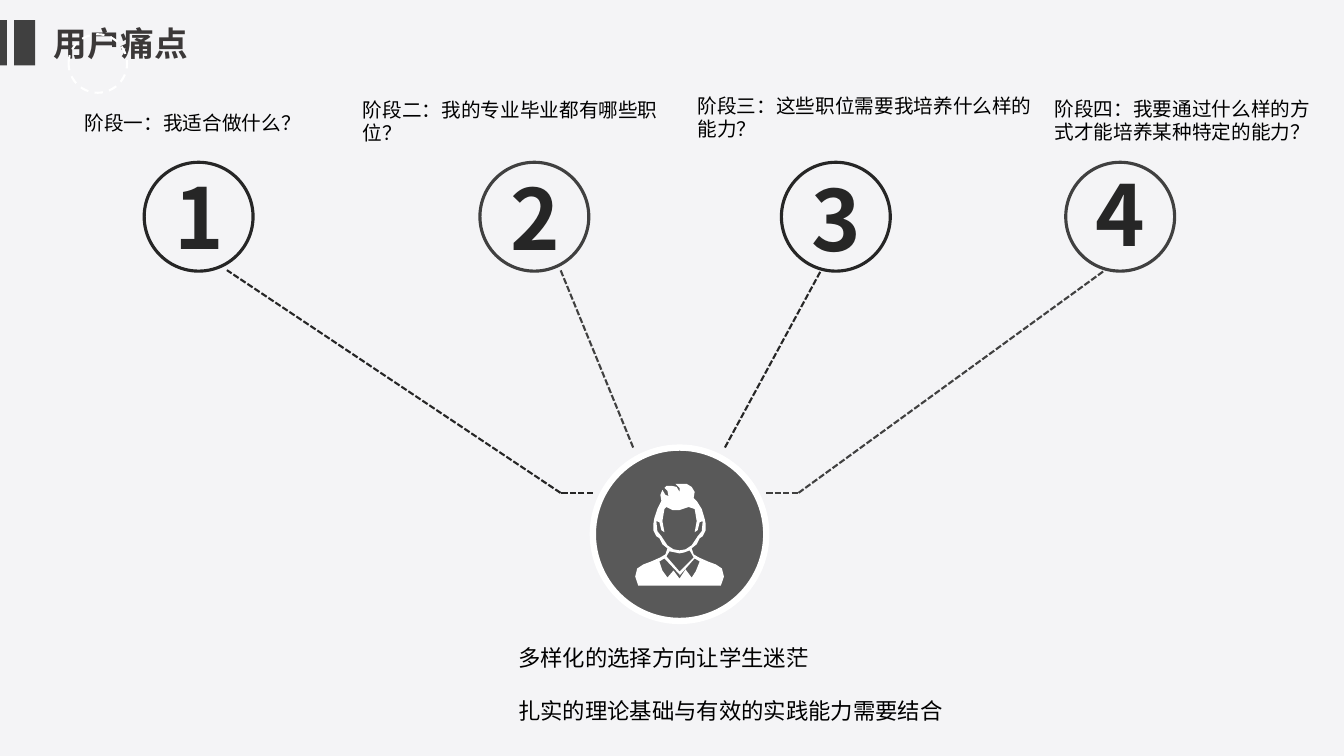
from pptx import Presentation
from pptx.dml.color import RGBColor
from pptx.enum.dml import MSO_LINE
from pptx.enum.shapes import MSO_CONNECTOR, MSO_SHAPE
from pptx.enum.text import MSO_ANCHOR, MSO_AUTO_SIZE, PP_ALIGN
from pptx.oxml.ns import qn
from pptx.util import Inches, Pt

RECT, OVAL = MSO_SHAPE.RECTANGLE, MSO_SHAPE.OVAL
STRAIGHT = MSO_CONNECTOR.STRAIGHT
DOTTED, DASHED = MSO_LINE.SQUARE_DOT, MSO_LINE.DASH
LEFT, CENTER = PP_ALIGN.LEFT, PP_ALIGN.CENTER
TOP = MSO_ANCHOR.TOP
NO_AUTOFIT = MSO_AUTO_SIZE.NONE

FONT = "Noto Sans CJK SC"
BLACK, INK, GRAY, WHITE = "000000", "262626", "404040", "FFFFFF"
CIRCLE_TOP, CIRCLE_SIZE = 1.61, 1.08

# number, circle left, colour, number top, caption, caption box
STAGES = [
    ("1", 1.43, INK, 1.59, "阶段一：我适合做什么？", (0.84, 1.1, 3.32, 0.24)),
    ("2", 4.76, GRAY, 1.6, "阶段二：我的专业毕业都有哪些职位？", (3.6, 0.97, 3.09, 0.47)),
    ("3", 7.75, INK, 1.61, "阶段三：这些职位需要我培养什么样的能力？", (6.92, 0.93, 3.32, 0.47)),
    ("4", 10.57, GRAY, 1.56, "阶段四：我要通过什么样的方式才能培养某种特定的能力？",
     (10.46, 0.96, 2.62, 0.47)),
]
# Dotted routes between the user and each stage
ROUTES = [
    (INK, [(5.88, 4.89), (5.56, 4.89), (2.25, 2.68)]),
    (GRAY, [(6.28, 4.44), (5.56, 2.68)]),
    (INK, [(7.19, 4.44), (8.15, 2.67)]),
    (GRAY, [(7.6, 4.89), (7.92, 4.89), (10.96, 2.68)]),
]
CONCLUSIONS = ["多样化的选择方向让学生迷茫", "扎实的理论基础与有效的实践能力需要结合"]

# Halves of the user icon, in hundredths of an inch
USER_RIGHT = [
    (674, 488), (674, 480), (681, 480), (686, 483), (689, 488), (688, 494), (691, 497),
    (696, 505), (699, 515), (700, 520), (700, 526), (697, 532), (694, 534), (691, 540),
    (686, 544), (688, 550), (693, 553), (702, 557), (710, 560), (716, 564), (718, 572),
    (715, 581), (674, 581), (674, 574), (680, 565), (686, 573), (690, 567), (694, 557),
    (689, 554), (674, 571), (674, 567), (688, 553), (684, 546), (679, 548), (674, 549),
    (674, 546), (680, 545), (686, 541), (692, 532), (696, 527), (697, 517), (694, 518),
    (692, 526), (689, 528), (691, 517), (689, 505), (683, 503), (674, 506),
]
USER_LEFT = [
    (674, 488), (671, 483), (666, 482), (661, 482), (659, 484), (662, 487), (663, 492),
    (660, 491), (657, 486), (655, 491), (656, 497), (652, 505), (649, 514), (648, 520),
    (648, 526), (651, 532), (654, 534), (657, 540), (662, 544), (660, 550), (655, 553),
    (646, 557), (638, 560), (632, 564), (630, 572), (633, 581), (674, 581), (674, 574),
    (668, 566), (662, 573), (657, 566), (654, 557), (659, 554), (674, 570), (674, 567),
    (661, 552), (664, 547), (669, 548), (674, 549), (674, 546), (668, 545), (662, 541),
    (656, 532), (652, 527), (651, 517), (654, 518), (656, 526), (659, 528), (657, 517),
    (659, 505), (661, 503), (667, 506), (674, 506),
]
HAIR_TIP = [(674, 484), (674, 480), (670, 480)]


def rgb(color):
    return RGBColor.from_string(color)


def add_preset(slide, kind, box, fill=None, line=None, width=1.5, dash=None):
    sp = slide.shapes.add_shape(kind, *map(Inches, box))
    sp.shadow.inherit = False
    if fill:
        sp.fill.solid()
        sp.fill.fore_color.rgb = rgb(fill)
    else:
        sp.fill.background()
    if line:
        sp.line.color.rgb = rgb(line)
        sp.line.width = Pt(width)
        if dash:
            sp.line.dash_style = dash
    else:
        sp.line.fill.background()


def add_dotted_route(slide, color, points):
    for start, end in zip(points, points[1:]):
        cx = slide.shapes.add_connector(STRAIGHT, *map(Inches, start + end))
        cx.line.color.rgb = rgb(color)
        cx.line.width = Pt(1.5)
        cx.line.dash_style = DOTTED
        sp_pr = cx._element.spPr
        sp_pr.append(sp_pr.makeelement(qn("a:effectLst"), {}))


def add_user_icon(slide):
    first, *others = USER_RIGHT, USER_LEFT, HAIR_TIP
    builder = slide.shapes.build_freeform(*first[0], scale=Inches(0.01))
    builder.add_line_segments(first[1:], close=True)
    for contour in others:
        builder.move_to(*contour[0])
        builder.add_line_segments(contour[1:], close=True)
    sp = builder.convert_to_shape()
    sp.shadow.inherit = False
    sp.fill.solid()
    sp.fill.fore_color.rgb = rgb(WHITE)
    sp.line.fill.background()


def write_text(sp, lines, size, color=BLACK, bold=False, align=LEFT,
               insets=(0, 0), wrap=True, gap=0):
    tf = sp.text_frame
    tf.text = "\n".join(lines)
    tf.word_wrap = wrap
    tf.auto_size = NO_AUTOFIT
    tf.vertical_anchor = TOP
    tf.margin_left = tf.margin_right = Inches(insets[0])
    tf.margin_top = tf.margin_bottom = Inches(insets[1])
    for i, p in enumerate(tf.paragraphs):
        p.alignment = align
        p.space_before = Pt(gap if i else 0)
        p_pr = p._p.get_or_add_pPr()
        p_pr.set("marL", "0")
        p_pr.set("indent", "0")
        p_pr.append(p_pr.makeelement(qn("a:buNone"), {}))
        for r in p.runs:
            r.font.size = Pt(size)
            r.font.bold = bold
            r.font.name = FONT
            r.font.color.rgb = rgb(color)
            r_pr = r._r.get_or_add_rPr()
            r_pr.append(r_pr.makeelement(qn("a:ea"), {"typeface": FONT}))


def place(sp, box):
    sp.left, sp.top, sp.width, sp.height = map(Inches, box)


def add_text(slide, box, text, size, **style):
    sp = slide.shapes.add_textbox(*map(Inches, box))
    write_text(sp, [text], size, **style)


def add_stage(slide, number, left, color, number_top, caption, caption_box):
    add_preset(slide, OVAL, (left, CIRCLE_TOP, CIRCLE_SIZE, CIRCLE_SIZE),
               line=color, width=2.25)
    add_text(slide, caption_box, caption, 14)
    add_text(slide, (left + 0.18, number_top, 0.73, 1.11), number, 60, color=INK,
             bold=True, align=CENTER, insets=(0.1, 0.05))


def main():
    prs = Presentation()
    prs.slide_width, prs.slide_height = Inches(13.33), Inches(7.5)
    slide = prs.slides.add_slide(prs.slide_layouts[1])
    slide.background.fill.solid()
    slide.background.fill.fore_color.rgb = rgb("F4F4F6")

    # Heading
    for left, width in ((0, 0.07), (0.14, 0.21)):
        add_preset(slide, RECT, (left, 0.2, width, 0.45), fill=GRAY)
    add_preset(slide, OVAL, (0.68, 0.34, 0.58, 0.58), line=WHITE, dash=DASHED)
    title, body = slide.placeholders
    place(title, (0.43, 0.18, 3.91, 0.5))
    write_text(title, ["用户痛点"], 24, color="3B3838", bold=True, insets=(0.1, 0.05))

    # User in the centre
    add_preset(slide, OVAL, (5.88, 4.44, 1.72, 1.72), fill="595959", line=WHITE, width=4.5)
    add_user_icon(slide)
    for color, points in ROUTES:
        add_dotted_route(slide, color, points)

    # Stages
    for stage in STAGES:
        add_stage(slide, *stage)

    # Conclusions
    place(body, (5.14, 6.39, 4.26, 0.81))
    write_text(body, CONCLUSIONS, 16, wrap=False, gap=19)
    prs.save("out.pptx")


if __name__ == "__main__":
    main()
